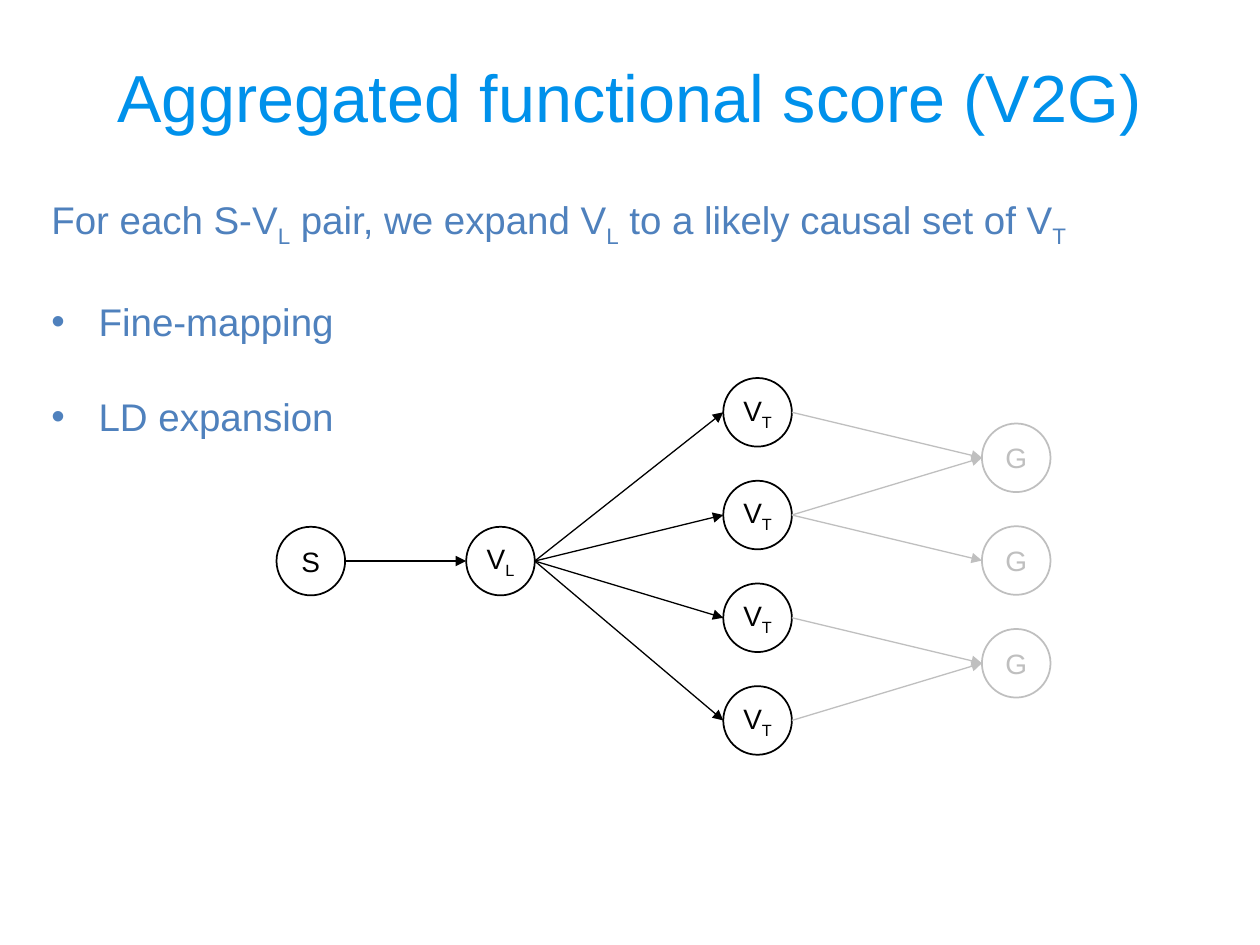
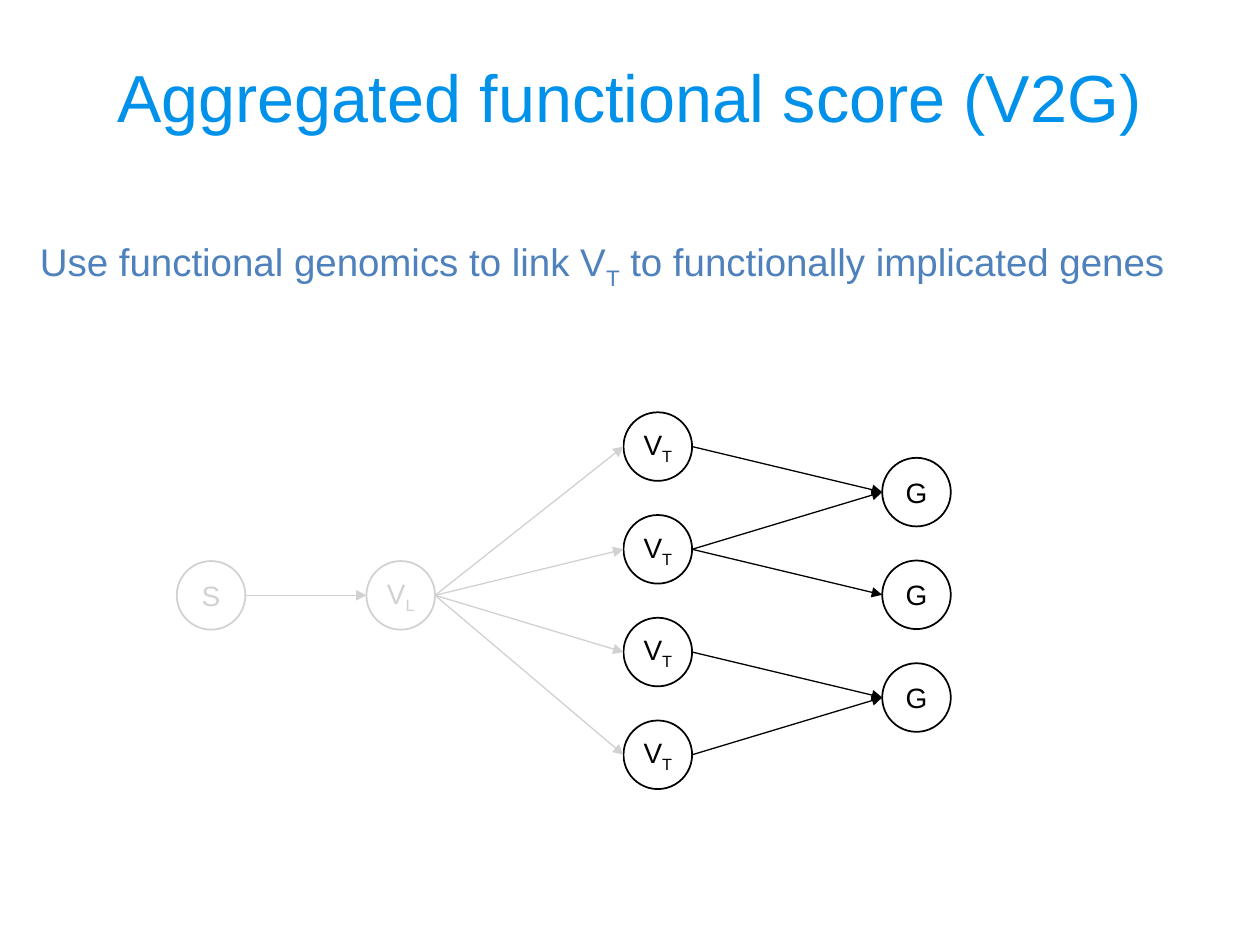
from dataclasses import dataclass

from pptx import Presentation
from pptx.dml.color import RGBColor as RGB
from pptx.enum.shapes import MSO_CONNECTOR as Link, MSO_SHAPE as Shape
from pptx.enum.text import MSO_ANCHOR as Anchor, MSO_AUTO_SIZE as Fit, PP_ALIGN as Align
from pptx.oxml import parse_xml
from pptx.oxml.ns import nsdecls
from pptx.util import Pt


@dataclass(frozen=True)
class Theme:
    font: str = "Arial"
    title: str = "0091EB"
    body: str = "4F81BD"
    ink: str = "000000"
    pale: str = "BFBFBF"
    paper: str = "FFFFFF"
    title_size: float = 38
    body_size: float = 22
    node_size: float = 16


THEME = Theme()
TITLE = "Aggregated functional score (V2G)"

# Graph geometry, in points from the graph's top left corner
DISC = 39.2
PITCH = 58.7
COLS = {"S": 0, "VL": 108.4, "VT": 255.3, "G": 403.1}
TOPS = {"S": 85, "VL": 85, "VT": 0, "G": 26}
LABELS = {"S": "S", "VL": "V_L", "VT": "V_T", "G": "G"}
COUNTS = {"S": 1, "VL": 1, "VT": 4, "G": 3}
EDGES = {
    ("S", "VL"): [(0, 0)],
    ("VL", "VT"): [(0, row) for row in range(4)],
    ("VT", "G"): [(0, 0), (1, 1), (2, 2), (3, 2), (1, 0)],
}


def element(tag, attrs=""):
    return parse_xml(f"<a:{tag} {nsdecls('a')} {attrs}/>")


def write(frame, text, size=THEME.body_size, color=THEME.body,
          align=Align.LEFT, before=0, bullet=False):
    """Add a paragraph; an underscore makes the next letter a subscript."""
    para = frame.paragraphs[0]
    if para.runs:
        para = frame.add_paragraph()
    para.alignment = align
    para.space_before = Pt(before)
    if bullet:
        props = para._p.get_or_add_pPr()
        props.set("marL", str(Pt(27)))
        props.set("indent", str(-Pt(27)))
        props.append(element("buFont", f'typeface="{THEME.font}"'))
        props.append(element("buChar", 'char="•"'))
    first, *rest = text.split("_")
    parts = [(first, False)]
    for part in rest:
        parts += [(part[0], True), (part[1:], False)]
    for words, low in parts:
        if not words:
            continue
        run = para.add_run()
        run.text = words
        run.font.name = THEME.font
        run.font.size = Pt(size)
        run.font.color.rgb = RGB.from_string(color)
        if low:
            run._r.get_or_add_rPr().set("baseline", "-25000")


def start(deck):
    """Add a slide with the shared title."""
    slide = deck.slides.add_slide(deck.slide_layouts[5])
    title = slide.shapes.title
    title.left, title.top, title.width, title.height = Pt(0), Pt(10), Pt(720), Pt(90)
    frame = title.text_frame
    frame.auto_size = Fit.NONE
    frame.vertical_anchor = Anchor.MIDDLE
    write(frame, TITLE, size=THEME.title_size, color=THEME.title, align=Align.CENTER)
    return slide


def prose(slide, box, lead, points=()):
    """Lead sentence with optional bullet points below."""
    frame = slide.shapes.add_textbox(*map(Pt, box)).text_frame
    frame.word_wrap = True
    write(frame, lead)
    for point in points:
        write(frame, point, before=28, bullet=True)


def node(slide, x, y, label, color):
    disc = slide.shapes.add_shape(Shape.OVAL, Pt(x), Pt(y), Pt(DISC), Pt(DISC))
    disc.shadow.inherit = False
    disc.fill.solid()
    disc.fill.fore_color.rgb = RGB.from_string(THEME.paper)
    disc.line.color.rgb = RGB.from_string(color)
    disc.line.width = Pt(1)
    frame = disc.text_frame
    frame.margin_left = frame.margin_right = frame.margin_top = frame.margin_bottom = 0
    frame.vertical_anchor = Anchor.MIDDLE
    frame.word_wrap = False
    write(frame, label, size=THEME.node_size, color=color, align=Align.CENTER)


def arrow(slide, tail, head, color):
    line = slide.shapes.add_connector(Link.STRAIGHT, *map(Pt, tail + head))
    line.line.color.rgb = RGB.from_string(color)
    line.line.width = Pt(0.75)
    line.line._get_or_add_ln().append(element("tailEnd", 'type="triangle"'))
    line._element.spPr.append(element("effectLst"))


def graph(slide, left, top, genes):
    """Study to variants to genes; genes is the colour of the last step."""
    def spot(kind, row):
        return left + COLS[kind], top + TOPS[kind] + row * PITCH

    def tint(kind):
        return genes if kind == "G" else THEME.ink

    # Nodes
    for kind, count in COUNTS.items():
        for row in range(count):
            node(slide, *spot(kind, row), LABELS[kind], tint(kind))
    # Arrows, from right edge to left edge
    for (src, dst), pairs in EDGES.items():
        for a, b in pairs:
            x, y = spot(src, a)
            u, v = spot(dst, b)
            arrow(slide, (x + DISC, y + DISC / 2), (u, v + DISC / 2), tint(dst))


def veil(slide, box):
    """Translucent sheet that fades what lies under it."""
    sheet = slide.shapes.add_shape(Shape.RECTANGLE, *map(Pt, box))
    sheet.shadow.inherit = False
    sheet.fill.solid()
    sheet.fill.fore_color.rgb = RGB.from_string(THEME.paper)
    sheet.fill._xPr.solidFill[0].append(element("alpha", 'val="82000"'))
    sheet.line.fill.background()


def expand(deck):
    slide = start(deck)
    graph(slide, 158, 216, THEME.pale)
    prose(slide, (22.3, 108.7, 631.5, 68),
          "For each S-V_L pair, we expand V_L to a likely causal set of V_T",
          ("Fine-mapping", "LD expansion"))


def implicate(deck):
    slide = start(deck)
    graph(slide, 101, 235.6, THEME.ink)
    veil(slide, (52, 224, 304, 262))
    prose(slide, (15.8, 132.5, 720, 68),
          "Use functional genomics to link V_T to functionally implicated genes")


def main():
    deck = Presentation()
    deck.slide_width, deck.slide_height = Pt(720), Pt(540)
    expand(deck)
    implicate(deck)
    deck.save("out.pptx")


if __name__ == "__main__":
    main()
